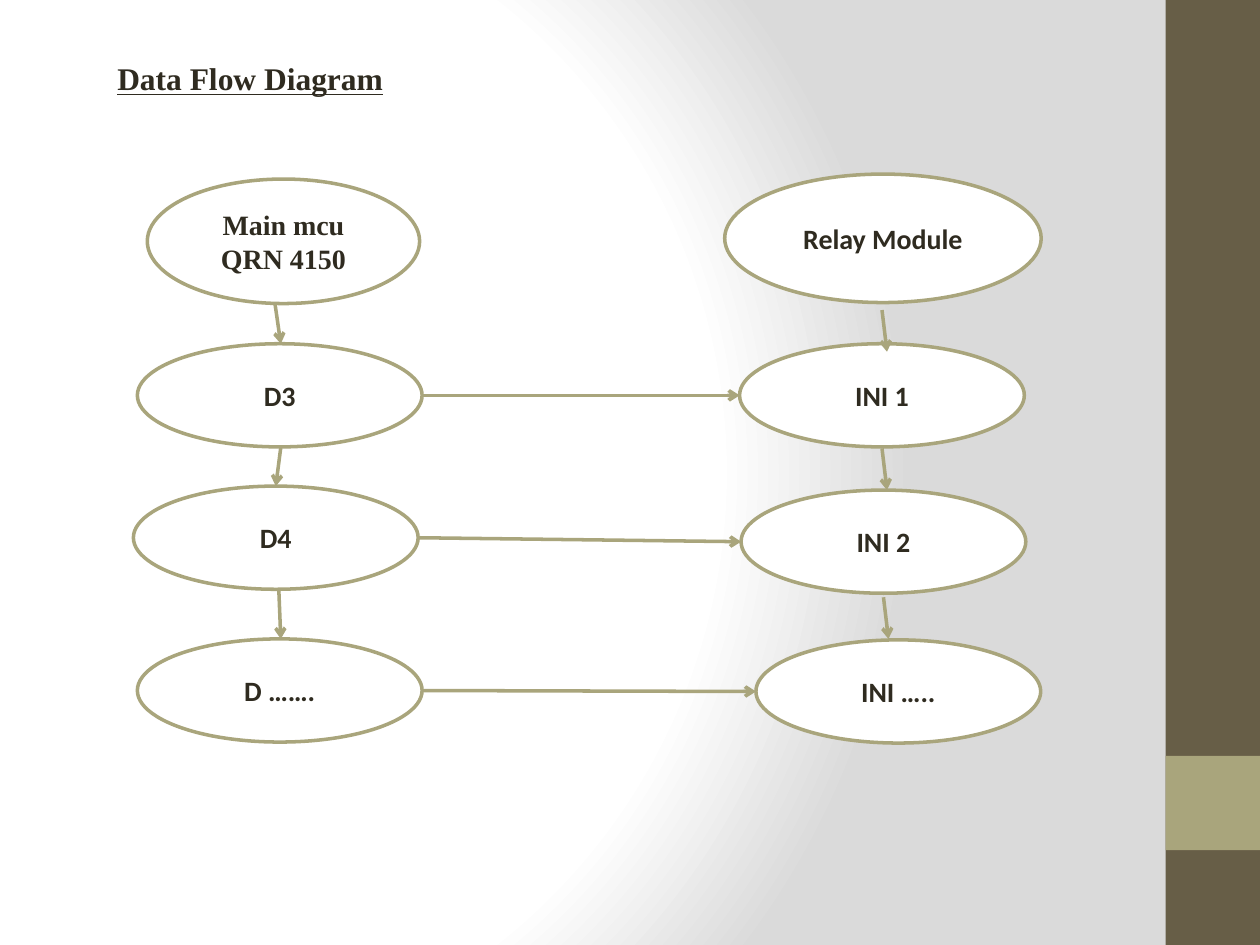
import dataclasses

import pptx
import pptx.dml.color
import pptx.enum.shapes
import pptx.enum.text
import pptx.oxml
import pptx.oxml.ns
import pptx.util
from pptx.util import Cm

SHAPE = pptx.enum.shapes.MSO_SHAPE
ALIGN = pptx.enum.text.PP_ALIGN


@dataclasses.dataclass(frozen=True)
class Theme:
    text: str = "2F2B20"
    paper: str = "FFFFFF"
    shade: str = "DADADA"
    olive: str = "A9A57C"
    brown: str = "675E47"
    serif: str = "Times New Roman"
    sans: str = "Calibri"
    title_size: int = 18
    node_size: int = 16
    line_width: int = 2


def rgb(value):
    return pptx.dml.color.RGBColor.from_string(value)


class FlowSlide:
    def __init__(self, slide, theme):
        self.slide = slide
        self.theme = theme

    def background(self):
        theme = self.theme
        stops = ((0, theme.paper), (75, theme.paper), (100, theme.shade))
        stop_xml = "".join(
            f'<a:gs pos="{position * 1000}"><a:srgbClr val="{color}"/></a:gs>'
            for position, color in stops)
        background = pptx.oxml.parse_xml(
            f'<p:bg {pptx.oxml.ns.nsdecls("p", "a")}><p:bgPr>'
            f'<a:gradFill rotWithShape="1"><a:gsLst>{stop_xml}</a:gsLst>'
            '<a:path path="circle">'
            '<a:fillToRect l="20000" t="50000" r="100000" b="50000"/>'
            '</a:path></a:gradFill><a:effectLst/></p:bgPr></p:bg>')
        self.slide.shapes.element.addprevious(background)

    def style_text(self, text_frame, size, font_name, align, underline=None):
        for paragraph in text_frame.paragraphs:
            paragraph.alignment = align
            for run in paragraph.runs:
                run.font.size = pptx.util.Pt(size)
                run.font.name = font_name
                run.font.bold = True
                run.font.underline = underline
                run.font.color.rgb = rgb(self.theme.text)

    def title(self, text, left, top, width, height):
        title = self.slide.shapes.title
        title.left, title.top = Cm(left), Cm(top)
        title.width, title.height = Cm(width), Cm(height)
        frame = title.text_frame
        frame.text = text
        frame.word_wrap = False
        frame.auto_size = pptx.enum.text.MSO_AUTO_SIZE.SHAPE_TO_FIT_TEXT
        frame.vertical_anchor = pptx.enum.text.MSO_ANCHOR.TOP
        self.style_text(frame, self.theme.title_size, self.theme.serif,
                        ALIGN.LEFT, underline=True)

    def shape(self, kind, left, top, width, height, fill):
        shape = self.slide.shapes.add_shape(
            kind, Cm(left), Cm(top), Cm(width), Cm(height))
        shape.shadow.inherit = False
        shape.fill.solid()
        shape.fill.fore_color.rgb = rgb(fill)
        return shape

    def band(self, left, top, width, height, fill):
        shape = self.shape(SHAPE.RECTANGLE, left, top, width, height, fill)
        shape.line.fill.background()

    def node(self, text, left, top, width=5.74, height=2.08, font_name=None):
        shape = self.shape(SHAPE.OVAL, left, top, width, height,
                           self.theme.paper)
        self.style_line(shape.line)
        frame = shape.text_frame
        frame.text = text
        frame.vertical_anchor = pptx.enum.text.MSO_ANCHOR.MIDDLE
        self.style_text(frame, self.theme.node_size,
                        font_name or self.theme.sans, ALIGN.CENTER)
        return shape

    def style_line(self, line):
        line.color.rgb = rgb(self.theme.olive)
        line.width = pptx.util.Pt(self.theme.line_width)

    def arrow(self, start_x, start_y, end_x, end_y):
        connector = self.slide.shapes.add_connector(
            pptx.enum.shapes.MSO_CONNECTOR.STRAIGHT,
            start_x, start_y, end_x, end_y)
        self.style_line(connector.line)
        namespace = pptx.oxml.ns.nsdecls("a")
        connector.line._get_or_add_ln().append(
            pptx.oxml.parse_xml(f'<a:tailEnd {namespace} type="arrow"/>'))
        connector._element.spPr.append(
            pptx.oxml.parse_xml(f"<a:effectLst {namespace}/>"))

    def link(self, source, target):
        self.arrow(source.left + source.width,
                   source.top + source.height // 2,
                   target.left, target.top + target.height // 2)


presentation = pptx.Presentation()
presentation.slide_width, presentation.slide_height = Cm(25.4), Cm(19.05)
theme = Theme()
flow = FlowSlide(
    presentation.slides.add_slide(presentation.slide_layouts[5]), theme)

# Background, side bands and title
flow.background()
flow.band(23.5, 0, 1.9, 19.05, theme.brown)
flow.band(23.5, 15.24, 1.9, 1.9, theme.olive)
flow.title("Data Flow Diagram", 2.11, 1.07, 5.92, 1.02)

# Arrows down the controller pins, partly behind the nodes
for start_x, start_y, end_x, end_y in (
        (5.54, 6.1, 5.66, 6.93),
        (5.66, 9.02, 5.56, 9.8),
        (5.61, 11.63, 5.66, 12.88)):
    flow.arrow(Cm(start_x), Cm(start_y), Cm(end_x), Cm(end_y))

# Heads of the two columns
flow.node("Main mcu\nQRN 4150", 2.97, 3.61, 5.49, 2.51, theme.serif)
flow.node("Relay Module", 14.61, 3.51, 6.38, 2.59)

# Each pin feeds one relay input
for pin, pin_left, pin_top, relay, relay_left, relay_top in (
        ("D3", 2.77, 6.93, "INI 1", 14.91, 6.93),
        ("D4", 2.69, 9.8, "INI 2", 14.94, 9.88),
        ("D …….", 2.77, 12.88, "INI …..", 15.24, 12.9)):
    flow.link(flow.node(pin, pin_left, pin_top),
              flow.node(relay, relay_left, relay_top))

# Arrows down the relay inputs, all with the same slant
for start_x, start_y in ((17.78, 6.25), (17.78, 9.04), (17.81, 12.04)):
    flow.arrow(Cm(start_x), Cm(start_y), Cm(start_x + 0.1), Cm(start_y + 0.84))

presentation.save("out.pptx")
